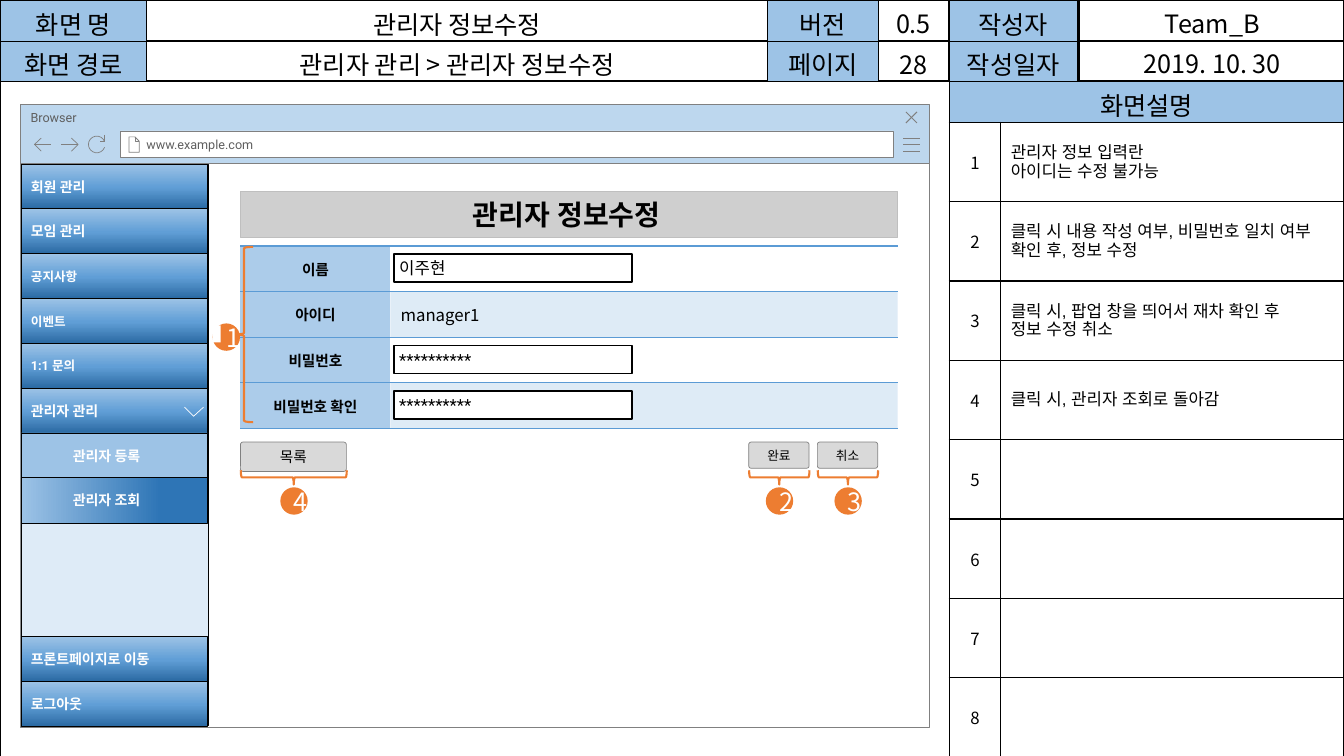
import math
from dataclasses import dataclass

from lxml import etree
from pptx import Presentation, util as u
from pptx.dml import color
from pptx.enum import shapes, text
from pptx.oxml import ns

Cm, Pt = u.Cm, u.Pt
SHAPE, ALIGN, ANCHOR = shapes.MSO_SHAPE, text.PP_ALIGN, text.MSO_ANCHOR


@dataclass(frozen=True)
class Theme:
    black: str = "000000"
    white: str = "FFFFFF"
    ink: str = "5F5F5F"
    outline: str = "808080"
    heading: str = "BFBFBF"
    button: str = "D9D9D9"
    label: str = "9DC3E6"
    chrome: str = "BDD7EE"
    sidebar: str = "DEEBF7"
    form_label: str = "ACCCEA"
    accent: str = "5B9BD5"
    marker: str = "ED7D31"
    menu: tuple = ((0, "2A69A2"), (48, "609ED6"), (100, "9DC3E6"))
    selected: tuple = ((0, "2E75B6"), (25, "2E75B6"), (100, "9DC3E6"))
    ui_font: str = "Roboto"
    table_font: str = "Noto Sans CJK KR"
    note_font: str = "Arial"
    title_size: float = 20
    header_size: float = 18
    body_size: float = 12
    label_size: float = 10.5
    menu_size: float = 10
    small_size: float = 9


T = Theme()


def rgb(value):
    return color.RGBColor.from_string(value)


def add_xml(parent, tag, **attrs):
    return etree.SubElement(parent, ns.qn(tag), **attrs)


def paint(fill, holder, value, alpha=None):
    if value is None:
        fill.background()
        return
    fill.solid()
    fill.fore_color.rgb = rgb(value)
    if alpha:
        clr = next(holder.iter(ns.qn("a:srgbClr")))
        add_xml(clr, "a:alpha", val=str(alpha * 1000))


def paint_gradient(sp, stops, angle):
    sp.fill.gradient()
    grad = next(sp.element.iter(ns.qn("a:gradFill")))
    for child in list(grad):
        grad.remove(child)
    stop_list = add_xml(grad, "a:gsLst")
    for position, value in stops:
        stop = add_xml(stop_list, "a:gs", pos=str(position * 1000))
        add_xml(stop, "a:srgbClr", val=value)
    add_xml(grad, "a:lin", ang=str(angle * 60000), scaled="0")


def outline(sp, value, width):
    if value is None:
        sp.line.fill.background()
        return
    sp.line.color.rgb = rgb(value)
    sp.line.width = Pt(width)


def write(tf, lines, size, font=T.ui_font, ink=T.black, bold=False, align=ALIGN.LEFT):
    for i, line in enumerate(lines.split("\n")):
        p = tf.paragraphs[0] if i == 0 else tf.add_paragraph()
        p.alignment = align
        r = p.add_run()
        r.text = line
        r.font.size, r.font.name, r.font.bold = Pt(size), font, bold
        r.font.color.rgb = rgb(ink)
        add_xml(r.font._element, "a:ea", typeface=font)


def set_frame(tf, left=0.25, right=0.25, anchor=ANCHOR.MIDDLE):
    tf.word_wrap = True
    tf.auto_size = text.MSO_AUTO_SIZE.NONE
    tf.vertical_anchor = anchor
    tf.margin_left, tf.margin_right = Cm(left), Cm(right)
    tf.margin_top = tf.margin_bottom = Cm(0.13)


def add_box(s, box, fill=None, line=None, width=0.5, kind=SHAPE.RECTANGLE, alpha=None):
    sp = s.shapes.add_shape(kind, *map(Cm, box))
    sp.shadow.inherit = False
    paint(sp.fill, sp.element, fill, alpha)
    outline(sp, line, width)
    return sp


def add_icon(s, strokes, line=T.outline, width=0.5):
    points = [[(Cm(x), Cm(y)) for x, y in stroke] for stroke in strokes]
    builder = s.shapes.build_freeform(*points[0][0], scale=1.0)
    for i, stroke in enumerate(points):
        if i:
            builder.move_to(*stroke[0])
        builder.add_line_segments(stroke[1:], close=False)
    sp = builder.convert_to_shape()
    sp.shadow.inherit = False
    sp.fill.background()
    outline(sp, line, width)


def add_grid(s, left, top, widths, heights):
    frame = s.shapes.add_table(len(heights), len(widths), Cm(left), Cm(top),
                               Cm(sum(widths)), Cm(sum(heights)))
    table = frame.table
    table.first_row = table.horz_banding = False
    for column, width in zip(table.columns, widths):
        column.width = Cm(width)
    for row, height in zip(table.rows, heights):
        row.height = Cm(height)
    for cell in table.iter_cells():
        cell.margin_top = cell.margin_bottom = 0
        cell.vertical_anchor = ANCHOR.MIDDLE
        cell.fill.background()
    return table


def border_cells(table, value, sides):
    for cell in table.iter_cells():
        tc_pr = cell._tc.get_or_add_tcPr()
        for i, side in enumerate("LRTB"):
            ln = etree.Element(ns.qn("a:ln" + side), w=str(Pt(1)))
            if side in sides:
                add_xml(add_xml(ln, "a:solidFill"), "a:srgbClr", val=value)
            else:
                add_xml(ln, "a:noFill")
            tc_pr.insert(i, ln)


def fill_cell(cell, words, size, fill=None, **style):
    paint(cell.fill, cell._tc.tcPr, fill)
    if words:
        write(cell.text_frame, words, size, **{"font": T.table_font, "align": ALIGN.CENTER, **style})


def fill_header(table, rows):
    for row, words in enumerate(rows):
        for column, word in enumerate(words):
            cell = table.cell(row, column)
            cell.margin_top = Cm(0.1)
            fill_cell(cell, word, T.header_size, None if column % 2 else T.label)


def add_header_table(s):
    table = add_grid(s, -0.02, 0, [3.71, 15.65, 2.79, 1.78, 3.28, 6.73], [1.02] * 2)
    fill_header(table, [["화면 명", "", "버전", "0.5", "작성자", "Team_B"],
                        ["화면 경로", "", "페이지", "", "작성일자", "2019. 10. 30"]])
    border_cells(table, T.black, "LRTB")


def add_spec_table(s):
    table = add_grid(s, 0, 0.02, [3.7, 15.64, 2.8, 1.78, 1.3, 1.93, 6.72], [1.02] * 3 + [2] * 8)
    table.cell(2, 0).merge(table.cell(10, 3))
    table.cell(2, 4).merge(table.cell(2, 6))
    for row in (0, 1):
        table.cell(row, 4).merge(table.cell(row, 5))
    fill_header(table, [["화면 명", "관리자 정보수정", "버전", "", "작성자"],
                        ["화면 경로", "관리자 관리 > 관리자 정보수정", "페이지", "28", "작성일자"],
                        ["", "", "", "", "화면설명"]])
    table.cell(2, 0).fill.background()
    notes = ["관리자 정보 입력란\n아이디는 수정 불가능",
             "클릭 시 내용 작성 여부, 비밀번호 일치 여부 확인 후, 정보 수정",
             "클릭 시, 팝업 창을 띄어서 재차 확인 후\n정보 수정 취소",
             "클릭 시, 관리자 조회로 돌아감"]
    for i in range(8):
        fill_cell(table.cell(i + 3, 4), str(i + 1), T.body_size)
        table.cell(i + 3, 5).merge(table.cell(i + 3, 6))
        if i < len(notes):
            fill_cell(table.cell(i + 3, 5), notes[i], T.body_size, font=T.note_font, align=ALIGN.LEFT)
    border_cells(table, T.black, "LRTB")


def add_browser(s):
    add_box(s, (0.52, 4.12, 22.91, 14.22), T.white, T.outline)
    bar = add_box(s, (0.52, 2.63, 22.91, 1.5), T.chrome, T.outline)
    set_frame(bar.text_frame, anchor=ANCHOR.TOP)
    write(bar.text_frame, "Browser", T.small_size, ink=T.ink)
    address = add_box(s, (3.03, 3.3, 19.48, 0.66), T.white, T.outline)
    set_frame(address.text_frame, left=0.66)
    write(address.text_frame, "www.example.com", T.small_size, ink=T.ink)
    add_icon(s, [[(22.76, y), (23.19, y)] for y in (3.48, 3.64, 3.81)])
    add_icon(s, [[(23.11, 2.82), (22.83, 3.1)], [(22.83, 2.82), (23.11, 3.1)]], width=0.75)
    add_icon(s, [[(3.4, 3.45), (3.4, 3.56), (3.51, 3.56)],
                 [(3.25, 3.45), (3.25, 3.84), (3.51, 3.84), (3.51, 3.56), (3.4, 3.45), (3.25, 3.45)]])
    for tip, way in ((0.87, 1), (1.97, -1)):
        wing = tip + way * 0.17
        add_icon(s, [[(wing, 3.81), (tip, 3.64), (wing, 3.48)], [(tip, 3.64), (tip + way * 0.42, 3.64)]])
    arc = [(2.44 + 0.21 * math.cos(math.radians(a)), 3.64 + 0.21 * math.sin(math.radians(a)))
           for a in range(20, 341, 20)]
    add_icon(s, [[(2.64, 3.4), (2.64, 3.56), (2.51, 3.56)], arc])


def add_heading(s):
    sp = s.shapes.title
    s.shapes.element.append(sp.element)
    sp.left, sp.top, sp.width, sp.height = map(Cm, (6.06, 4.82, 16.56, 1.17))
    paint(sp.fill, sp.element, T.heading, 75)
    outline(sp, T.heading, 1)
    set_frame(sp.text_frame, left=0.13)
    write(sp.text_frame, "관리자 정보수정", T.title_size, bold=True, align=ALIGN.CENTER)


def add_form(s):
    top, pitch = 6.2, 1.15
    table = add_grid(s, 6.06, top, [3.78, 12.78], [pitch] * 4)
    for i, label in enumerate(["이름", "아이디", "비밀번호", "비밀번호 확인"]):
        fill_cell(table.cell(i, 0), label, T.label_size, T.form_label, bold=True)
        if i % 2:
            value = table.cell(i, 1)
            paint(value.fill, value._tc.tcPr, T.accent, 20)
    write(table.cell(1, 1).text_frame, "manager1", T.body_size, font=T.table_font)
    border_cells(table, T.accent, "TB")
    for row, value, alpha in ((0, "이주현", 75), (2, "**********", None), (3, "**********", None)):
        sp = add_box(s, (9.93, top + pitch * row + 0.2, 6, 0.71), T.white, T.black, 1, alpha=alpha)
        set_frame(sp.text_frame, left=0.13)
        write(sp.text_frame, value, T.body_size)


def add_badge(s, number, left, top):
    sp = add_box(s, (left, top, 0.69, 0.69), T.marker, kind=SHAPE.OVAL)
    set_frame(sp.text_frame)
    write(sp.text_frame, number, T.header_size, T.table_font, T.white, align=ALIGN.CENTER)


def add_brace(s, box, rotation=0):
    add_box(s, box, line=T.marker, width=1.5, kind=SHAPE.LEFT_BRACE).rotation = rotation


def add_button(s, label, number, left, width, height, size):
    sp = add_box(s, (left, 11.14, width, height), T.button, T.outline, kind=SHAPE.ROUNDED_RECTANGLE)
    sp.adjustments[0] = 0.09
    set_frame(sp.text_frame)
    write(sp.text_frame, label, size, align=ALIGN.CENTER)
    middle = left + width / 2
    add_brace(s, (middle - 0.17, 12.03 - width / 2, 0.36, width), 270)
    add_badge(s, number, middle - 0.33, 12.28)


def add_menu_item(s, label, top, size=T.menu_size, stops=T.menu, angle=270, align=ALIGN.LEFT):
    sp = add_box(s, (0.53, top, 4.7, 1.14), T.label, T.black)
    if stops:
        paint_gradient(sp, stops, angle)
    set_frame(sp.text_frame, right=0.64)
    write(sp.text_frame, label, size, ink=T.white, bold=True, align=align)


def add_sidebar(s):
    add_box(s, (0.53, 4.14, 4.72, 14.15), T.sidebar, T.black)
    top, pitch, small = 4.13, 1.13, {"size": T.small_size}
    items = [("회원 관리", {}), ("모임 관리", {}), ("공지사항", small), ("이벤트", small),
             ("1:1 문의", small), ("관리자 관리", {}),
             ("관리자 등록", {"stops": None, "align": ALIGN.CENTER}),
             ("관리자 조회", {"stops": T.selected, "angle": 180, "align": ALIGN.CENTER})]
    for i, (label, style) in enumerate(items):
        add_menu_item(s, label, top + pitch * i, **style)
    add_menu_item(s, "프론트페이지로 이동", 16.04)
    add_menu_item(s, "로그아웃", 17.17)
    add_icon(s, [[(4.65, 10.26), (4.88, 10.49), (5.13, 10.26)]], T.white)


def main():
    prs = Presentation()
    prs.slide_width, prs.slide_height = Cm(33.87), Cm(19.05)
    s = prs.slides.add_slide(prs.slide_layouts.get_by_name("Title Only"))
    add_header_table(s)
    add_browser(s)
    add_spec_table(s)
    add_heading(s)
    add_form(s)
    add_brace(s, (5.92, 6.22, 0.46, 4.42))
    add_badge(s, "1", 5.36, 8.15)
    add_box(s, (5.36, 8.2, 0.2, 0.43), T.white)
    add_button(s, "완료", "2", 18.87, 1.52, 0.66, T.small_size)
    add_button(s, "취소", "3", 20.6, 1.52, 0.66, T.small_size)
    add_button(s, "목록", "4", 6.06, 2.67, 0.74, T.label_size)
    add_sidebar(s)
    prs.save("out.pptx")


if __name__ == "__main__":
    main()
